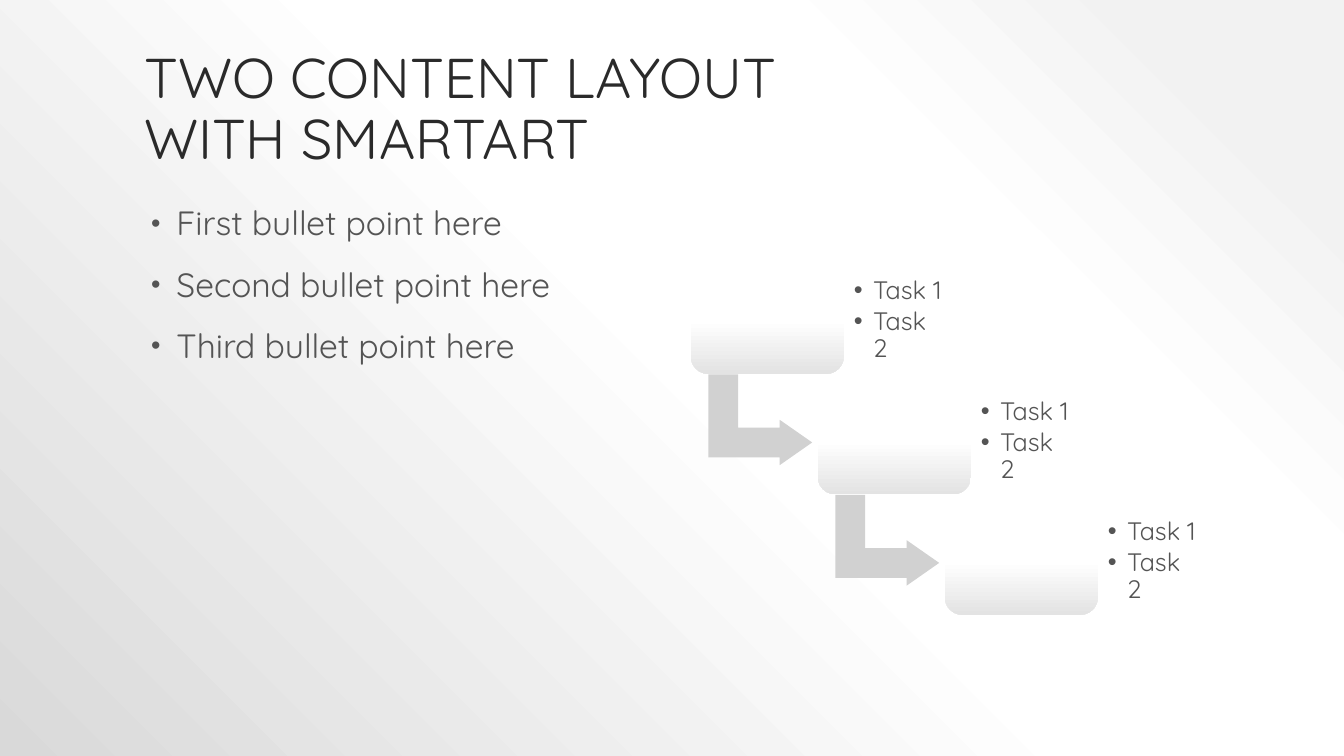
from lxml import etree
from pptx import Presentation
from pptx import util as u
from pptx.dml.color import RGBColor
from pptx.enum import shapes, text
from pptx.oxml import parse_xml
from pptx.oxml.ns import nsdecls, qn

COLORS = {
    "title": "2A2A2A",
    "body": "545454",
    "arrow": "D1D1D1",
    "white": "FFFFFF",
    "card_end": "E3E3E3",
    "corner": "F2F2F2",
    "far_corner": "D9D9D9",
}
CORNER_GLOW = ('<a:path path="circle"><a:fillToRect l="100000" b="100000"/></a:path>'
               '<a:tileRect t="-100000" r="-100000"/>')
DOWNWARD = '<a:lin ang="5400000" scaled="0"/>'


class SlideBuilder:
    def __init__(self, slide, font="Quicksand"):
        self.slide = slide
        self.font = font

    def gradient(self, owner, stops, direction):
        """Give a slide background or shape a gradient of (percent, colour name) stops."""
        target = self.slide.background if owner is self.slide else owner
        target.fill.gradient()
        stop_xml = "".join(
            f'<a:gs pos="{percent * 1000}"><a:srgbClr val="{COLORS[name]}"/></a:gs>'
            for percent, name in stops)
        old = owner.element.find(".//" + qn("a:gradFill"))
        old.getparent().replace(old, parse_xml(
            f'<a:gradFill {nsdecls("a")} rotWithShape="1"><a:gsLst>{stop_xml}</a:gsLst>'
            f'{direction}</a:gradFill>'))

    def place(self, shape, left, top, width, height):
        shape.left, shape.top = u.Inches(left), u.Inches(top)
        shape.width, shape.height = u.Inches(width), u.Inches(height)

    def format(self, paragraph, size, color):
        paragraph.alignment = text.PP_ALIGN.LEFT
        paragraph.line_spacing = 0.9
        for run in paragraph.runs:
            run.font.name = self.font
            run.font.size = u.Pt(size)
            run.font.color.rgb = RGBColor.from_string(COLORS[color])

    def title(self, words, *box):
        title = self.slide.shapes.title
        self.place(title, *box)
        frame = title.text_frame
        frame.text = words
        frame.vertical_anchor = text.MSO_ANCHOR.BOTTOM
        frame.auto_size = text.MSO_AUTO_SIZE.NONE
        self.format(frame.paragraphs[0], 40, "title")

    def bullets(self, frame, items, size, margin, indent, before=0, after=0,
                level=0, bullet_percent=100):
        frame.word_wrap = True
        frame.auto_size = text.MSO_AUTO_SIZE.NONE
        frame.text = "\n".join(items)
        for paragraph in frame.paragraphs:
            self.format(paragraph, size, "body")
            paragraph.level = level
            paragraph.space_before = u.Pt(before)
            paragraph.space_after = u.Pt(after)
            properties = paragraph._p.get_or_add_pPr()
            properties.set("marL", str(u.Inches(margin)))
            properties.set("indent", str(u.Inches(indent)))
            color = etree.SubElement(properties, qn("a:buClr"))
            etree.SubElement(color, qn("a:srgbClr"), val=COLORS["body"])
            etree.SubElement(properties, qn("a:buSzPct"), val=str(bullet_percent * 1000))
            etree.SubElement(properties, qn("a:buFont"), typeface="Arial")
            etree.SubElement(properties, qn("a:buChar"), char="•")

    def body(self, items, *box):
        body = self.slide.placeholders[1]
        self.place(body, *box)
        self.bullets(body.text_frame, items, 24, 0.3, -0.25, before=18, bullet_percent=80)

    def shape(self, kind, adjustments, *box):
        shape = self.slide.shapes.add_shape(kind, *map(u.Inches, box))
        shape.shadow.inherit = False
        shape.line.fill.background()
        for index, value in enumerate(adjustments):
            shape.adjustments[index] = value
        return shape

    def arrow(self, *box):
        arrow = self.shape(shapes.MSO_SHAPE.BENT_UP_ARROW, (0.328, 0.25, 0.358), *box)
        arrow.rotation = 90
        arrow.fill.solid()
        arrow.fill.fore_color.rgb = RGBColor.from_string(COLORS["arrow"])

    def card(self, *box):
        card = self.shape(shapes.MSO_SHAPE.ROUNDED_RECTANGLE, (0.167,), *box)
        self.gradient(card, [(0, "white"), (50, "white"), (100, "card_end")], DOWNWARD)

    def tasks(self, items, *box):
        frame = self.slide.shapes.add_textbox(*map(u.Inches, box)).text_frame
        frame.vertical_anchor = text.MSO_ANCHOR.MIDDLE
        frame.margin_left = frame.margin_right = u.Inches(0.1)
        frame.margin_top = frame.margin_bottom = u.Inches(0.1)
        self.bullets(frame, items, 18, 0.19, -0.19, after=2.7, level=1)


def main():
    presentation = Presentation()
    presentation.slide_width, presentation.slide_height = u.Inches(13.33), u.Inches(7.5)
    slide = presentation.slides.add_slide(presentation.slide_layouts[1])
    builder = SlideBuilder(slide)
    builder.gradient(slide, [(10, "corner"), (28, "white"), (48, "white"),
                             (100, "far_corner")], CORNER_GLOW)
    builder.title("TWO CONTENT LAYOUT \vWITH SMARTART", 1.33, 0.3, 10.67, 1.45)
    builder.body([f"{order} bullet point here" for order in ("First", "Second", "Third")],
                 1.35, 2, 5.15, 4.75)

    step_count = 3
    card_width, card_height = 1.52, 1.06
    for index in range(step_count):
        left = 6.85 + 1.26 * index
        top = 2.65 + 2.39 / 2 * index
        if index < step_count - 1:
            builder.arrow(left + 0.24, top + 1, 0.9, 1.03)
        builder.card(left, top, card_width, card_height)
        builder.tasks(["Task 1", "Task 2"], left + card_width, top + 0.1, 1.11, 0.86)

    presentation.save("out.pptx")


if __name__ == "__main__":
    main()
